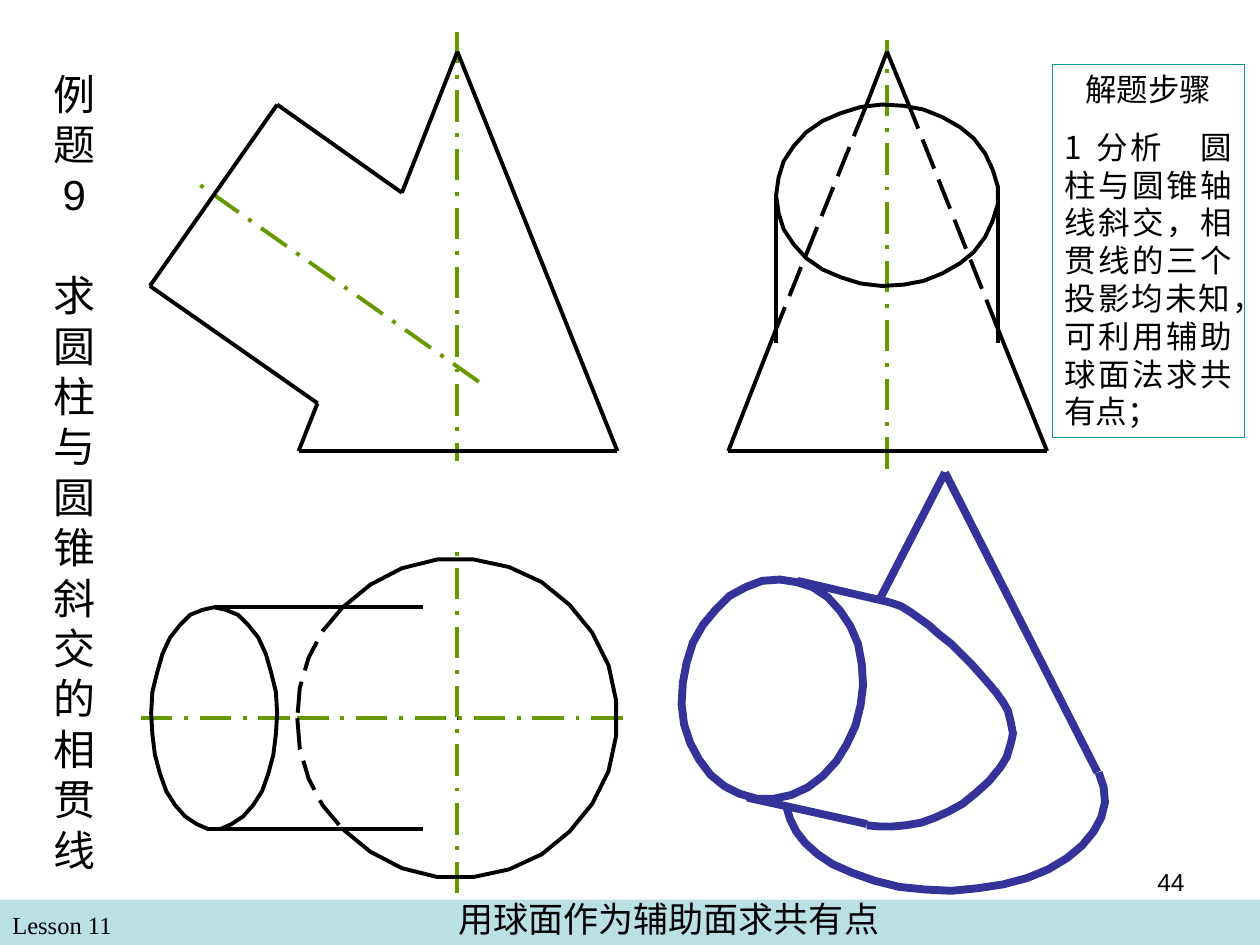
import math
import pptx
import pptx.dml.color
import pptx.enum.dml
import pptx.enum.shapes
import pptx.enum.text
import pptx.oxml.ns
import pptx.util
from lxml import etree

Inches = pptx.util.Inches
Pt = pptx.util.Pt
Dash = pptx.enum.dml.MSO_LINE
Align = pptx.enum.text.PP_ALIGN
Anchor = pptx.enum.text.MSO_ANCHOR
Form = pptx.enum.shapes.MSO_SHAPE

COLORS = {
    "band": "BBE0E3",
    "axis": "669900",
    "edge": "000000",
    "solid": "333399",
    "frame": "009999",
    "dot": "0000FF",
    "text": "000000",
}
HAN = "Noto Sans CJK SC"

AXES = [
    (2.36, 5.7, 5.02, 5.7),
    (3.63, 7.09, 3.63, 4.31),
    (3.63, 0.25, 3.63, 3.66),
    (7.04, 3.72, 7.04, 0.32),
    (3.8, 3.03, 1.59, 1.47),
    (2.3, 5.7, 1.08, 5.7),
]
FRONT = [
    (2.37, 3.58, 4.9, 3.58),
    (1.19, 2.27, 2.2, 0.83),
    (1.19, 2.27, 2.52, 3.2),
    (2.52, 3.2, 2.37, 3.58),
    (3.63, 0.41, 3.19, 1.53),
    (4.9, 3.58, 3.63, 0.41),
    (3.19, 1.53, 2.2, 0.83),
]
PLAN = [(1.7, 6.58, 3.36, 6.58), (3.36, 4.82, 1.7, 4.82)]
SIDE = [
    (5.78, 3.58, 7.04, 3.58),
    (7.04, 3.58, 8.31, 3.58),
    (6.16, 1.55, 6.16, 2.72),
    (7.92, 2.72, 7.92, 1.55),
    (7.04, 0.41, 6.87, 0.85),
    (6.16, 2.61, 5.78, 3.58),
    (8.31, 3.58, 7.92, 2.61),
    (7.22, 0.85, 7.04, 0.41),
]
HIDDEN = [(6.87, 0.85, 6.16, 2.61), (7.92, 2.61, 7.22, 0.85)]
SOLID = [
    (5.93, 6.33, 6.88, 6.54),
    (7.06, 4.78, 6.33, 4.61),
    (7.5, 3.75, 6.98, 4.76),
    (8.71, 6.13, 7.5, 3.75),
]
BASE = [
    (6.24, 6.4), (6.27, 6.5), (6.32, 6.6), (6.39, 6.69), (6.49, 6.78),
    (6.61, 6.86), (6.77, 6.93), (6.94, 6.99), (7.14, 7.04), (7.34, 7.06),
    (7.55, 7.07), (7.76, 7.05), (7.96, 7.02), (8.15, 6.97), (8.32, 6.9),
    (8.47, 6.81), (8.59, 6.71), (8.68, 6.6), (8.74, 6.49), (8.77, 6.37),
    (8.76, 6.25), (8.72, 6.13),
]
SEAM = [
    (7.06, 4.78), (7.15, 4.81), (7.23, 4.86), (7.37, 4.96), (7.46, 5.04),
    (7.55, 5.11), (7.63, 5.19), (7.71, 5.27), (7.79, 5.36), (7.86, 5.44),
    (7.91, 5.5), (7.96, 5.57), (8, 5.64), (8.02, 5.72), (8.03, 5.77),
    (8.04, 5.82), (8.03, 5.87), (8.02, 5.91), (7.99, 6.01), (7.94, 6.09),
    (7.85, 6.2), (7.75, 6.29), (7.64, 6.38), (7.53, 6.44), (7.42, 6.49),
    (7.31, 6.53), (7.19, 6.55), (7.08, 6.56), (6.98, 6.56), (6.88, 6.55),
]


def tint(name):
    return pptx.dml.color.RGBColor.from_string(COLORS[name])


def pen(shape, color, width, dash=None):
    shape.line.color.rgb = tint(color)
    shape.line.width = Pt(width)
    if dash:
        shape.line.dash_style = dash


def draw(slide, lines, color="edge", width=2.25, dash=None):
    for ends in lines:
        line = slide.shapes.add_connector(
            pptx.enum.shapes.MSO_CONNECTOR.STRAIGHT, *map(Inches, ends))
        pen(line, color, width, dash)
        etree.SubElement(line._element.spPr, pptx.oxml.ns.qn("a:effectLst"))


def trace(slide, points, color="edge", width=2.25, dash=None, close=False):
    grid = [(round(x * 100), round(y * 100)) for x, y in points]
    path = slide.shapes.build_freeform(*grid[0], scale=Inches(0.01))
    path.add_line_segments(grid[1:], close=close)
    shape = path.convert_to_shape()
    shape.fill.background()
    shape.shadow.inherit = False
    pen(shape, color, width, dash)


def arc(mid, radii, start, end, steps, skew=0):
    points = []
    for step in range(steps + 1):
        angle = start + (end - start) * step / steps
        points.append((
            mid[0] + radii[0] * math.cos(math.radians(angle)),
            mid[1] + radii[1] * math.sin(math.radians(angle + skew)),
        ))
    return points


def box(slide, place, fill=None, line=None):
    shape = slide.shapes.add_shape(Form.RECTANGLE, *map(Inches, place))
    shape.shadow.inherit = False
    if fill:
        shape.fill.solid()
        shape.fill.fore_color.rgb = tint(fill)
    else:
        shape.fill.background()
    if line:
        pen(shape, line, 0.5)
    else:
        shape.line.fill.background()
    return shape


def label(slide, text, place, size=18, font=HAN, aligns=(Align.LEFT,),
          anchor=Anchor.TOP, pitch=None, gap=0, line=None):
    if line:
        shape = box(slide, place, line=line)
    else:
        shape = slide.shapes.add_textbox(*map(Inches, place))
    frame = shape.text_frame
    frame.word_wrap = True
    frame.vertical_anchor = anchor
    frame.text = text
    for index, para in enumerate(frame.paragraphs):
        para.alignment = aligns[min(index, len(aligns) - 1)]
        if pitch:
            para.line_spacing = Pt(pitch)
        if index:
            para.space_before = Pt(gap)
        for run in para.runs:
            run.font.size = Pt(size)
            run.font.name = font
            run.font.color.rgb = tint("text")
            face = etree.SubElement(
                run._r.get_or_add_rPr(), pptx.oxml.ns.qn("a:ea"))
            face.set("typeface", HAN)


def views(slide):
    draw(slide, [(3.63, 5.7, 3.64, 5.7)], "dot")
    draw(slide, AXES, "axis", dash=Dash.LONG_DASH_DOT)
    draw(slide, FRONT + PLAN + SIDE)
    draw(slide, HIDDEN, dash=Dash.LONG_DASH)
    hub, radii = (3.63, 5.7), (1.27, 1.27)
    trace(slide, arc(hub, radii, 136, -136, 21))
    for start, end in ((-136, -180), (180, 136)):
        trace(slide, arc(hub, radii, start, end, 4), dash=Dash.LONG_DASH)
    trace(slide, arc((1.7, 5.7), (0.5, 0.88), -90, -450, 33), close=True)
    trace(slide, arc((7.04, 1.55), (0.88, 0.72), 180, -180, 33), close=True)


def model(slide):
    trace(slide, BASE, "solid", 4.5)
    trace(slide, SEAM, "solid", 4.5)
    rim = arc((6.13, 5.47), (0.72, 0.87), 209, -151, 33, skew=-4)
    trace(slide, rim, "solid", 4.5, close=True)
    draw(slide, SOLID, "solid", 4.5)


def main():
    deck = pptx.Presentation()
    deck.slide_width, deck.slide_height = Inches(10), Inches(7.5)
    slide = deck.slides.add_slide(deck.slide_layouts[6])
    box(slide, (0, 7.14, 10, 0.36), fill="band")
    label(slide, "Lesson 11", (0, 7.17, 4.83, 0.34), size=14,
          font="Times New Roman")
    label(slide, "例题9\n求圆柱与圆锥斜交的相贯线", (0.31, 0.25, 0.56, 6.98),
          size=24, font="Arial", aligns=(Align.CENTER,),
          anchor=Anchor.MIDDLE, pitch=28.8, gap=28.8)
    label(slide, "用球面作为辅助面求共有点", (3.54, 7.07, 3.56, 0.44), size=20,
          font="Times New Roman", pitch=24)
    views(slide)
    model(slide)
    label(slide, "解题步骤\n1 分析　圆柱与圆锥轴线斜交，相贯线的三个投影均未知，可利用辅助球面法求共有点；",
          (8.35, 0.51, 1.53, 2.96), aligns=(Align.CENTER, Align.JUSTIFY),
          pitch=21.6, gap=11.2, line="frame")
    label(slide, "44", (7.17, 6.83, 2.33, 0.52), size=14, font="Arial",
          aligns=(Align.RIGHT,))
    deck.save("out.pptx")


if __name__ == "__main__":
    main()
